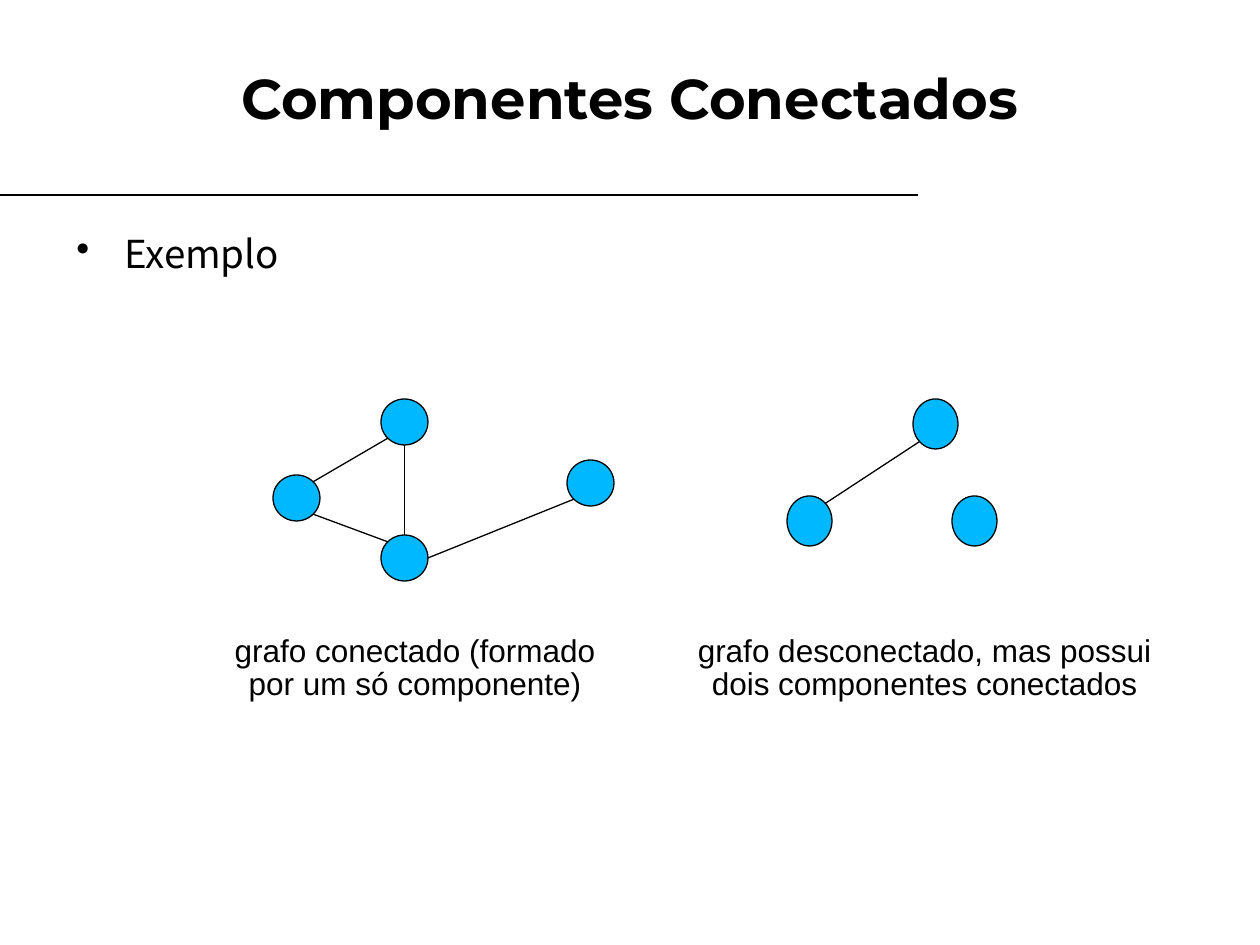
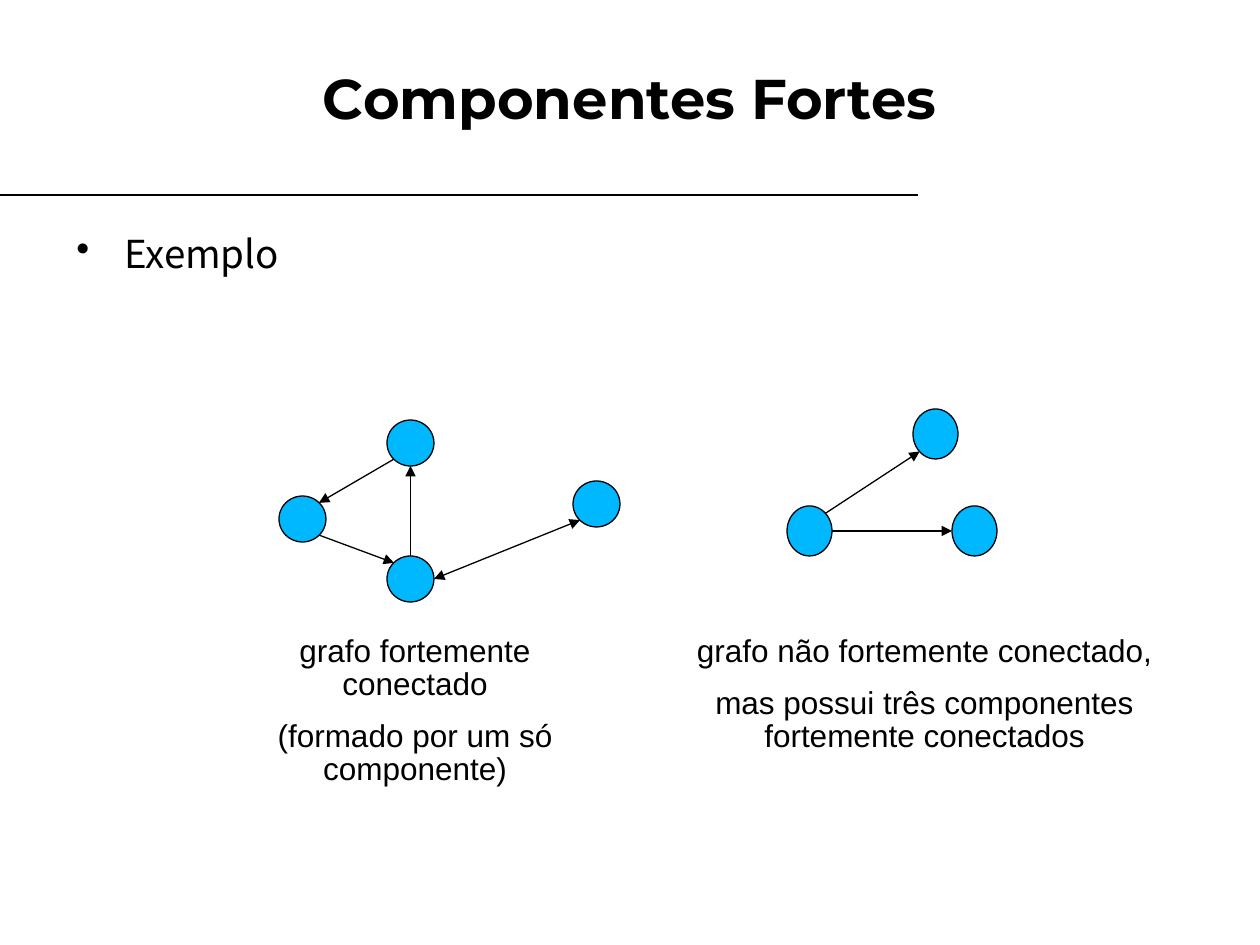
from lxml.etree import SubElement
from pptx import Presentation
from pptx.dml.color import RGBColor as Rgb
from pptx.enum.shapes import MSO_CONNECTOR as Link, MSO_SHAPE as Shape
from pptx.enum.text import MSO_ANCHOR as Anchor, PP_ALIGN as Align
from pptx.oxml import parse_xml
from pptx.oxml.ns import nsdecls, qn
from pptx.util import Pt

PX = 914400 / 126  # EMU in one px
COLORS = {"ink": "000000", "node": "00B8FF"}
INK = Rgb.from_string(COLORS["ink"])
NODE = Rgb.from_string(COLORS["node"])

# Places on a node's rim, as fractions of its size from the centre
RIM = {"n": (0, -0.5), "s": (0, 0.5), "w": (-0.5, 0), "e": (0.5, 0),
       "ne": (0.35, -0.35), "nw": (-0.35, -0.35),
       "se": (0.35, 0.35), "sw": (-0.35, 0.35)}

# Graphs: node size, node offsets, edges (node, rim, node, rim, arrow ends)
FOUR = {"size": (47, 46),
        "nodes": {"left": (0, 76), "low": (108, 136), "top": (108, 0), "right": (294, 61)},
        "edges": [("top", "sw", "left", "ne", ["tailEnd"]),
                  ("left", "se", "low", "nw", ["tailEnd"]),
                  ("low", "n", "top", "s", ["tailEnd"]),
                  ("right", "sw", "low", "e", ["headEnd", "tailEnd"])]}
THREE = {"size": (45, 50),
         "nodes": {"left": (0, 97), "right": (165, 97), "top": (126, 0)},
         "edges": [("left", "ne", "top", "sw", ["tailEnd"])]}
FORK = THREE | {"edges": THREE["edges"] + [("left", "e", "right", "w", ["tailEnd"])]}

# Slides: graphs with their origins, and captions with their heights
SLIDES = [
    {"title": "Componentes Conectados", "arrows": False,
     "graphs": [(FOUR, 273, 399), (THREE, 787, 399)],
     "notes": [(78, ["grafo conectado (formado por um só componente)"]),
               (78, ["grafo desconectado, mas possui dois componentes conectados"])]},
    {"title": "Componentes Fortes", "arrows": True,
     "graphs": [(FOUR, 279, 420), (FORK, 787, 409)],
     "notes": [(164, ["grafo fortemente conectado", "(formado por um só componente)"]),
               (131, ["grafo não fortemente conectado,",
                      "mas possui três componentes fortemente conectados"])]},
]
COLUMNS = [(210, 410), (683, 483)]  # caption left and width


def write(slide, box, lines, face, size, align=Align.CENTER):
    frame = slide.shapes.add_textbox(*(int(v * PX) for v in box)).text_frame
    frame.word_wrap = True
    frame.text = "\n".join(lines)
    for para in frame.paragraphs:
        para.alignment = align
        para.font.name = face
        para.font.size = Pt(size)
        para.font.color.rgb = INK
    return frame


def draw(slide, start, end, width):
    ends = (int(v * PX) for v in (*start, *end))
    line = slide.shapes.add_connector(Link.STRAIGHT, *ends)
    line.line.color.rgb = INK
    line.line.width = Pt(width)
    SubElement(line._element.spPr, qn("a:effectLst"))
    return line


deck = Presentation()
deck.slide_width = int(1260 * PX)
deck.slide_height = int(945 * PX)

for page in SLIDES:
    slide = deck.slides.add_slide(deck.slide_layouts[6])

    # Rule and title
    draw(slide, (0, 195), (918, 195), 1)
    frame = write(slide, (63, 18, 1134, 158), [page["title"]], "Montserrat", 32)
    frame.vertical_anchor = Anchor.MIDDLE
    frame.paragraphs[0].font.bold = True

    # Bullet
    frame = write(slide, (64, 224, 1134, 169), ["Exemplo"], "Noto Sans CJK JP", 22, Align.LEFT)
    para = frame.paragraphs[0]
    para.space_before, para.space_after = Pt(8.2), Pt(4.1)
    props = para._p.get_or_add_pPr()
    props.set("marL", str(int(48 * PX)))
    props.set("indent", str(int(-48 * PX)))
    mark = parse_xml(f'<a:buChar {nsdecls("a")} char="•"/>')
    props.find(qn("a:defRPr")).addprevious(mark)

    # Graphs
    for graph, left, top in page["graphs"]:
        wide, high = graph["size"]
        mids = {}
        for name, (dx, dy) in graph["nodes"].items():
            x, y = left + dx, top + dy
            mids[name] = (x + wide / 2, y + high / 2)
            box = (int(v * PX) for v in (x, y, wide, high))
            node = slide.shapes.add_shape(Shape.OVAL, *box)
            node.shadow.inherit = False
            node.fill.solid()
            node.fill.fore_color.rgb = NODE
            node.line.color.rgb = INK
            node.line.width = Pt(0.75)
        for first, out, last, into, tips in graph["edges"]:
            start, end = [(mids[name][0] + RIM[rim][0] * wide,
                           mids[name][1] + RIM[rim][1] * high)
                          for name, rim in ((first, out), (last, into))]
            edge = draw(slide, start, end, 0.75)
            if page["arrows"]:
                stroke = edge._element.spPr.find(qn("a:ln"))
                for tip in tips:
                    SubElement(stroke, qn(f"a:{tip}"), type="triangle")

    # Captions
    for (left, wide), (high, lines) in zip(COLUMNS, page["notes"]):
        frame = write(slide, (left, 630, wide, high), lines, "Arial", 18)
        for para in frame.paragraphs:
            para.line_spacing = 0.87
            para.space_before = Pt(11.2)

deck.save("out.pptx")
